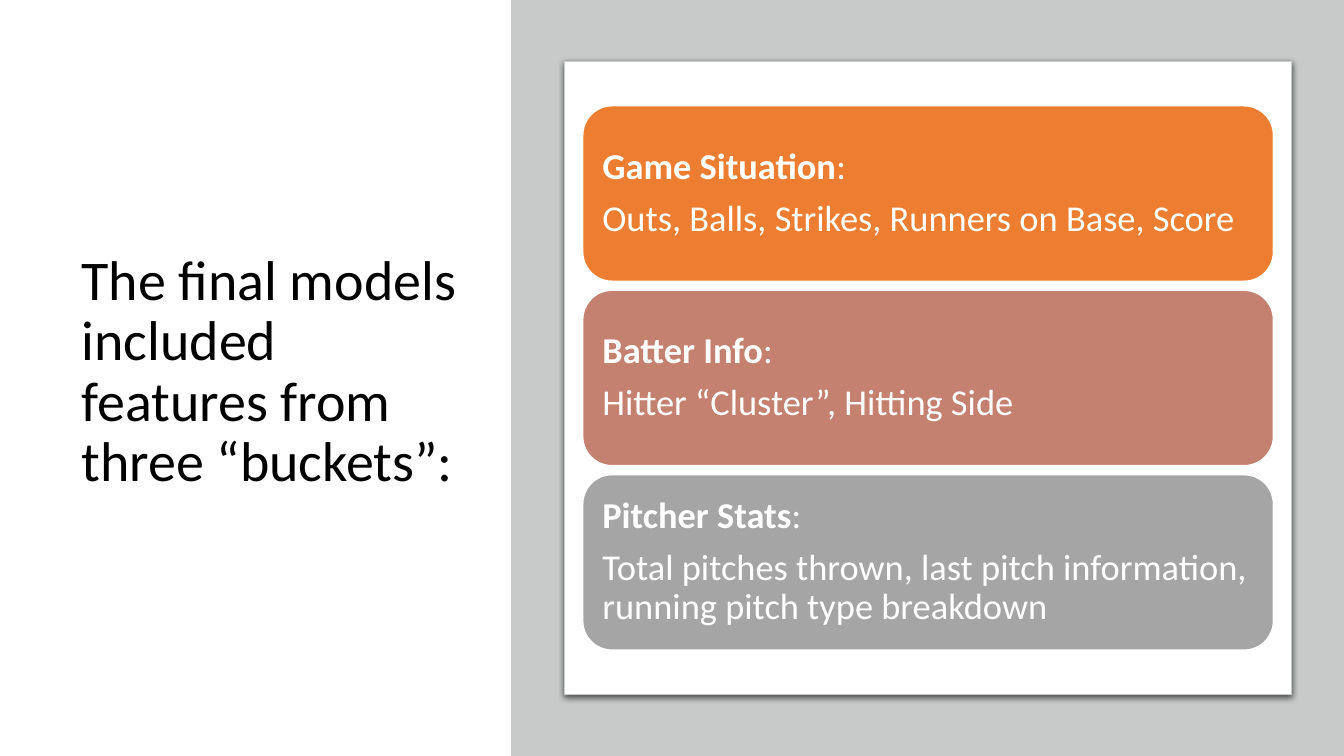
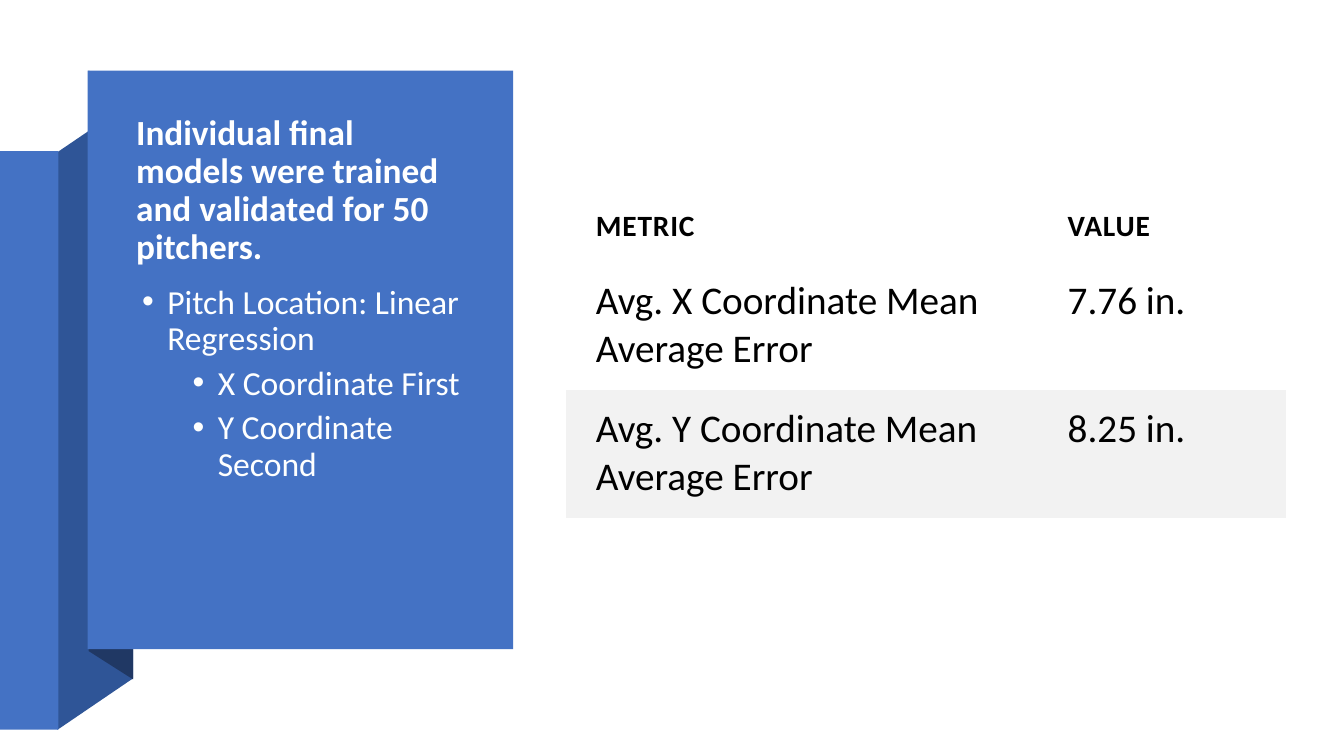
from dataclasses import dataclass

from lxml import etree
from pptx import Presentation
from pptx.dml.color import RGBColor
from pptx.enum.shapes import MSO_SHAPE
from pptx.enum.text import MSO_ANCHOR, MSO_AUTO_SIZE, PP_ALIGN
from pptx.oxml.ns import qn
from pptx.util import Inches, Pt

RECT, ROUND = MSO_SHAPE.RECTANGLE, MSO_SHAPE.ROUNDED_RECTANGLE
TOP, MIDDLE, BOTTOM = MSO_ANCHOR.TOP, MSO_ANCHOR.MIDDLE, MSO_ANCHOR.BOTTOM
LEFT = PP_ALIGN.LEFT
NO_FIT = MSO_AUTO_SIZE.NONE
FONT = "Calibri"
PLAIN_TABLE = "{2D5ABB26-0587-4C30-8999-92F81FD0307C}"
COLORS = {
    "white": "FFFFFF", "black": "000000", "backdrop": "C8CACA",
    "orange": "ED7D31", "clay": "C48170", "gray": "A5A5A5",
    "blue": "4472C4", "fold": "2F5597", "navy": "203864",
    "bullet": "FEFFFF", "band": "F2F2F2",
}


@dataclass(frozen=True)
class Box:
    x: float
    y: float
    w: float
    h: float

    def emu(self) -> tuple:
        return tuple(Inches(v) for v in (self.x, self.y, self.w, self.h))


@dataclass(frozen=True)
class Card:
    heading: str
    detail: str
    color: str


@dataclass(frozen=True)
class Bullet:
    text: str
    level: int = 0


CARDS = [
    Card("Game Situation", "Outs, Balls, Strikes, Runners on Base, Score", "orange"),
    Card("Batter Info", "Hitter “Cluster”, Hitting Side", "clay"),
    Card("Pitcher Stats", "Total pitches thrown, last pitch information, "
         "running pitch type breakdown", "gray"),
]
CARD_BOX, CARD_GAP = Box(5.78, 1.05, 6.85, 1.74), 0.09
BULLETS = [
    Bullet("Pitch Location: Linear Regression"),
    Bullet("X Coordinate First", 1),
    Bullet("Y Coordinate Second", 1),
]
METRICS = [
    ("METRIC", "VALUE"),
    ("Avg. X Coordinate Mean Average Error", "7.76 in."),
    ("Avg. Y Coordinate Mean Average Error", "8.25 in."),
    ("", ""),
]
COL_WIDTHS, ROW_HEIGHTS = (4.68, 2.47), (0.67, 1.1, 1.1, 0.83)


def rgb(name: str) -> RGBColor:
    return RGBColor.from_string(COLORS[name])


def add_run(p, text: str, size: float, color: str, bold: bool = False):
    r = p.add_run()
    r.text = text
    r.font.name, r.font.size, r.font.bold = FONT, Pt(size), bold
    r.font.color.rgb = rgb(color)
    return r


def format_paragraph(p, after: float = 0) -> None:
    p.alignment, p.line_spacing = LEFT, 0.9
    p.space_before, p.space_after = Pt(0), Pt(after)


def place(sp, box: Box, anchor):
    sp.left, sp.top, sp.width, sp.height = box.emu()
    tf = sp.text_frame
    tf.word_wrap, tf.auto_size, tf.vertical_anchor = True, NO_FIT, anchor
    return tf


def set_title(slide, text: str, box: Box, size: float, color: str,
              bold: bool = False) -> None:
    p = place(slide.shapes.title, box, MIDDLE).paragraphs[0]
    format_paragraph(p)
    add_run(p, text, size, color, bold)


def paint(sp, fill: str, line: str = "", width: float = 1):
    sp.shadow.inherit = False
    sp.fill.solid()
    sp.fill.fore_color.rgb = rgb(fill)
    if line:
        sp.line.color.rgb = rgb(line)
        sp.line.width = Pt(width)
    else:
        sp.line.fill.background()
    return sp


def add_block(slide, box: Box, fill: str, line: str = "", width: float = 1,
              kind=RECT):
    return paint(slide.shapes.add_shape(kind, *box.emu()), fill, line, width)


def add_polygon(slide, points: list, fill: str) -> None:
    pts = [(Inches(x), Inches(y)) for x, y in points]
    fb = slide.shapes.build_freeform(*pts[0])
    fb.add_line_segments(pts[1:], close=True)
    paint(fb.convert_to_shape(), fill)


def cast_shadow(sp) -> None:
    effects = sp._element.spPr.find(qn("a:effectLst"))
    shadow = etree.SubElement(
        effects, qn("a:outerShdw"), blurRad=str(Pt(4.5)), dist=str(Pt(1.5)),
        dir="5400000", algn="ctr", rotWithShape="0")
    color = etree.SubElement(shadow, qn("a:srgbClr"), val=COLORS["black"])
    etree.SubElement(color, qn("a:alpha"), val="63000")


def add_card(slide, card: Card, box: Box) -> None:
    tf = add_block(slide, box, card.color, "white", kind=ROUND).text_frame
    tf.word_wrap, tf.vertical_anchor = True, MIDDLE
    tf.margin_left = tf.margin_right = Inches(0.11)
    tf.margin_top = tf.margin_bottom = Inches(0.11)
    heading, detail = tf.paragraphs[0], tf.add_paragraph()
    for p in (heading, detail):
        format_paragraph(p, 9.1)
    add_run(heading, card.heading, 26, "white", True)
    add_run(heading, ":", 26, "white")
    add_run(detail, card.detail, 26, "white")


def fill_bullets(tf, bullets: list) -> None:
    for i, bullet in enumerate(bullets):
        p = tf.add_paragraph() if i else tf.paragraphs[0]
        p.level = bullet.level
        format_paragraph(p, 6)
        pPr = p._p.get_or_add_pPr()
        pPr.set("marL", str(Inches(0.31 + 0.5 * bullet.level)))
        pPr.set("indent", str(Inches(-0.25)))
        etree.SubElement(pPr, qn("a:buFont"), typeface="Arial")
        etree.SubElement(pPr, qn("a:buChar"), char="•")
        add_run(p, bullet.text, 24, "bullet")


def fill_cell(cell, text: str, header: bool, banded: bool) -> None:
    if banded:
        cell.fill.solid()
        cell.fill.fore_color.rgb = rgb("band")
    else:
        cell.fill.background()
    if not text:
        return
    cell.vertical_anchor = BOTTOM if header else TOP
    cell.margin_left = cell.margin_right = Inches(0.3)
    cell.margin_top = Inches(0.17 if header else 0.15)
    cell.margin_bottom = Inches(0.17)
    r = add_run(cell.text_frame.paragraphs[0], text, 21 if header else 28,
                "black", header)
    if header:
        r._r.get_or_add_rPr().set("spc", "60")


def add_metrics(slide, x: float, y: float) -> None:
    box = Box(x, y, sum(COL_WIDTHS), sum(ROW_HEIGHTS))
    table = slide.shapes.add_table(
        len(METRICS), len(COL_WIDTHS), *box.emu()).table
    table.first_row = table.horz_banding = False
    table._tbl.tblPr.find(qn("a:tableStyleId")).text = PLAIN_TABLE
    for column, width in zip(table.columns, COL_WIDTHS):
        column.width = Inches(width)
    for i, (row, height, texts) in enumerate(
            zip(table.rows, ROW_HEIGHTS, METRICS)):
        row.height = Inches(height)
        for cell, text in zip(row.cells, texts):
            fill_cell(cell, text, header=i == 0, banded=i == 2)


def build_buckets(prs) -> None:
    slide = prs.slides.add_slide(prs.slide_layouts[5])
    set_title(slide, "The final models included features from three “buckets”:",
              Box(0.71, 0.69, 4.01, 6.02), 40, "black")
    add_block(slide, Box(5.07, 0, 8.26, 7.5), "backdrop")
    cast_shadow(add_block(slide, Box(5.6, 0.61, 7.21, 6.28), "white",
                          "backdrop", 0.75))
    b = CARD_BOX
    for i, card in enumerate(CARDS):
        add_card(slide, card, Box(b.x, b.y + i * (b.h + CARD_GAP), b.w, b.h))


def build_results(prs) -> None:
    slide = prs.slides.add_slide(prs.slide_layouts[1])
    title, body = slide.shapes.title, slide.placeholders[1]
    add_polygon(slide, [(0.57, 7.24), (1.32, 6.73), (1.32, 1), (0.57, 1.51)],
                "fold")
    add_block(slide, Box(0, 1.5, 0.58, 5.74), "blue")
    add_polygon(slide, [(0.88, 6.46), (1.32, 6.74), (1.32, 0.99), (0.88, 0.7)],
                "navy")
    add_block(slide, Box(0.87, 0.7, 4.22, 5.74), "blue")
    for sp in (title, body):
        slide.shapes._spTree.append(sp._element)
    set_title(slide, "Individual final models were trained and validated "
              "for 50 pitchers.", Box(1.25, 1.09, 3.48, 1.61), 25.2, "white", True)
    fill_bullets(place(body, Box(1.25, 2.78, 3.5, 3.27), TOP), BULLETS)
    add_metrics(slide, 5.61, 1.9)


def main() -> None:
    prs = Presentation()
    prs.slide_width, prs.slide_height = Inches(13.33), Inches(7.5)
    build_buckets(prs)
    build_results(prs)
    prs.save("out.pptx")


if __name__ == "__main__":
    main()
